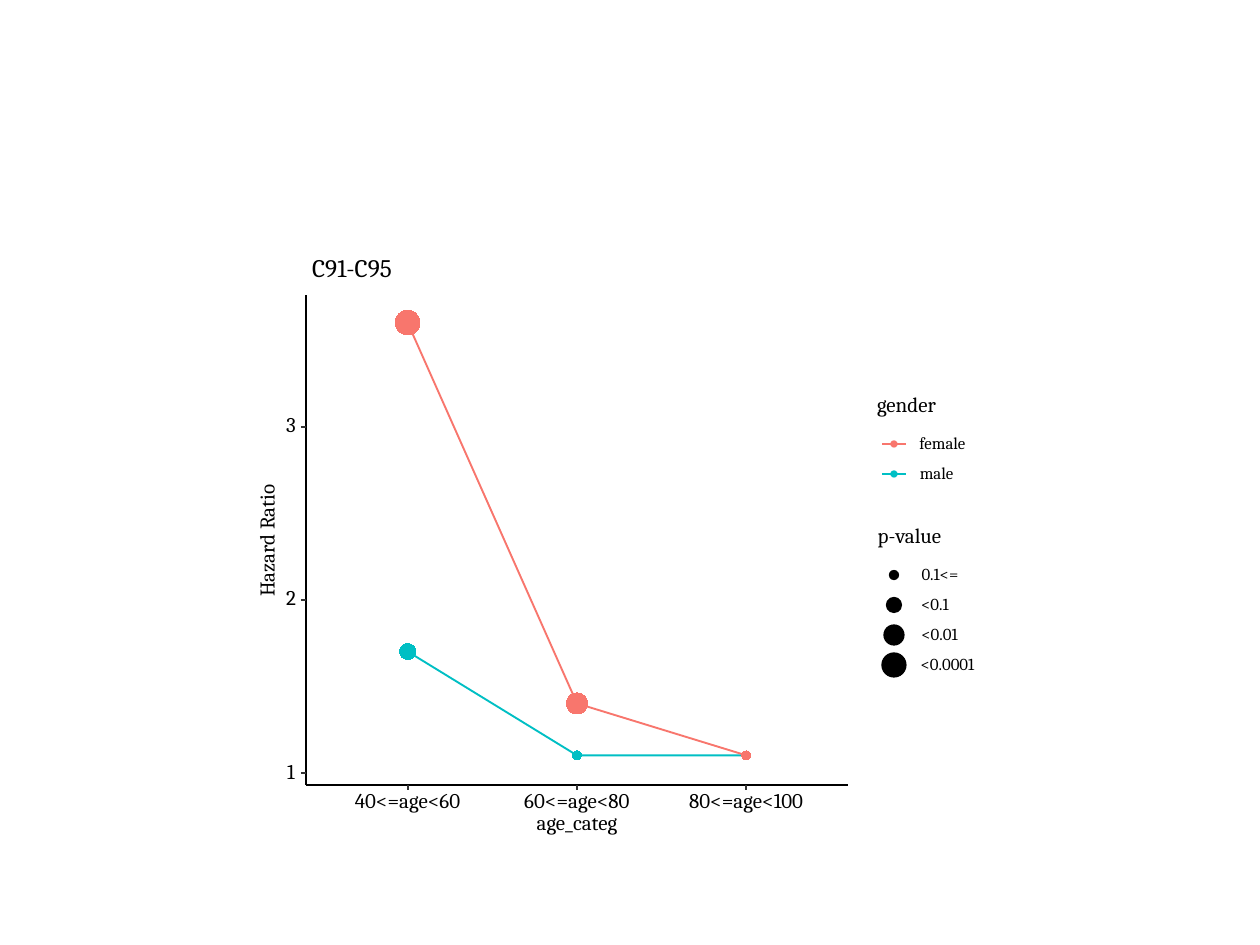
from lxml import etree
from pptx import Presentation
from pptx.chart.data import CategoryChartData
from pptx.dml.color import RGBColor
from pptx.enum.chart import XL_CHART_TYPE, XL_MARKER_STYLE, XL_TICK_MARK
from pptx.enum.shapes import MSO_CONNECTOR, MSO_SHAPE
from pptx.enum.text import MSO_ANCHOR, PP_ALIGN
from pptx.oxml.ns import qn
from pptx.util import Emu, Pt

LINE_CHART = XL_CHART_TYPE.LINE_MARKERS
CIRCLE = XL_MARKER_STYLE.CIRCLE
NO_TICK = XL_TICK_MARK.NONE
STRAIGHT = MSO_CONNECTOR.STRAIGHT
OVAL = MSO_SHAPE.OVAL
RECTANGLE = MSO_SHAPE.RECTANGLE
MIDDLE = MSO_ANCHOR.MIDDLE
CENTER = PP_ALIGN.CENTER

SCALE = 914400 / 126
FONT = "Cambria"
TEXT_PADDING = 4
COLORS = {
    "female": "F8766D",
    "male": "00BFC4",
    "ink": "000000",
    "tick": "333333",
    "paper": "FFFFFF",
}
AGE_GROUPS = ["40<=age<60", "60<=age<80", "80<=age<100"]
HAZARD_RATIOS = {"male": [1.7, 1.1, 1.1], "female": [3.6, 1.4, 1.1]}
MARKER_SIZES = {"male": [9, 5, 5], "female": [14, 12, 5]}
RATIO_MINIMUM, RATIO_MAXIMUM = 0.93, 3.76


def px(length):
    return Emu(round(length * SCALE))


def color(name):
    return RGBColor.from_string(COLORS[name])


def add_text(slide, box, text, size=12, rotation=0):
    left, top, width, height = box
    padded = (left - TEXT_PADDING, top, width + 2 * TEXT_PADDING, height)
    shape = slide.shapes.add_textbox(*map(px, padded))
    shape.rotation = rotation
    frame = shape.text_frame
    frame.word_wrap = True
    frame.vertical_anchor = MIDDLE
    frame.margin_left = frame.margin_right = 0
    frame.margin_top = frame.margin_bottom = 0
    paragraph = frame.paragraphs[0]
    paragraph.alignment = CENTER
    paragraph.line_spacing = Pt(size)
    run = paragraph.add_run()
    run.text = text
    run.font.name = FONT
    run.font.size = Pt(size)
    run.font.color.rgb = color("ink")


def add_line(slide, start, end, color_name, width=1.07):
    connector = slide.shapes.add_connector(STRAIGHT, *map(px, start + end))
    connector.line.color.rgb = color(color_name)
    connector.line.width = Pt(width)
    etree.SubElement(connector.element.spPr, qn("a:effectLst"))


def add_dot(slide, center_x, center_y, diameter, color_name):
    left, top = center_x - diameter / 2, center_y - diameter / 2
    dot = slide.shapes.add_shape(OVAL, *map(px, (left, top, diameter, diameter)))
    dot.shadow.inherit = False
    dot.fill.solid()
    dot.fill.fore_color.rgb = color(color_name)
    dot.line.color.rgb = color(color_name)
    dot.line.width = Pt(0.71)


def set_plot_layout(chart, fractions):
    plot_area = chart.element.find(".//" + qn("c:plotArea"))
    for old_layout in plot_area.findall(qn("c:layout")):
        plot_area.remove(old_layout)
    layout = etree.Element(qn("c:layout"))
    plot_area.insert(0, layout)
    manual = etree.SubElement(layout, qn("c:manualLayout"))
    settings = [("layoutTarget", "inner"), ("xMode", "edge"), ("yMode", "edge")]
    settings += zip("xywh", fractions)
    for tag, value in settings:
        etree.SubElement(manual, qn("c:" + tag)).set("val", str(value))


def style_series(series):
    color_name = series.name
    series.smooth = False
    series.marker.style = CIRCLE
    series.format.line.color.rgb = color(color_name)
    series.format.line.width = Pt(1.07)
    for index, size in enumerate(MARKER_SIZES[color_name]):
        point = series.points[index]
        point.format.line.color.rgb = color(color_name)
        point.format.line.width = Pt(1.07)
        point.marker.style = CIRCLE
        point.marker.size = size
        point.marker.format.fill.solid()
        point.marker.format.fill.fore_color.rgb = color(color_name)
        point.marker.format.line.fill.background()


def add_ratio_chart(slide, box, plot):
    left, top, width, height = box
    data = CategoryChartData()
    data.categories = AGE_GROUPS
    for name, values in HAZARD_RATIOS.items():
        data.add_series(name, values)
    chart = slide.shapes.add_chart(LINE_CHART, *map(px, box), data).chart
    chart.has_legend = False
    chart.has_title = False
    chart.font.name = FONT
    chart.font.size = Pt(12)
    chart.font.color.rgb = color("ink")
    plot_left, plot_top, plot_width, plot_height = plot
    set_plot_layout(chart, [
        round(plot_left / width, 4), round(plot_top / height, 4),
        round(plot_width / width, 4), round(plot_height / height, 4),
    ])
    ratio_axis = chart.value_axis
    ratio_axis.minimum_scale = RATIO_MINIMUM
    ratio_axis.maximum_scale = RATIO_MAXIMUM
    ratio_axis.major_unit = 1
    ratio_axis.has_major_gridlines = False
    ratio_axis.visible = False
    age_axis = chart.category_axis
    age_axis.major_tick_mark = NO_TICK
    age_axis.format.line.fill.background()
    chart.plots[0].vary_by_categories = False
    for series in chart.plots[0].series:
        style_series(series)
    add_axes(slide, (left + plot_left, top + plot_top, plot_width, plot_height))


def add_axes(slide, plot):
    left, top, width, height = plot
    margin, tick = 17, 5
    spine, bottom = left - margin, top + height
    add_line(slide, (spine, bottom), (spine, top), "ink")
    add_line(slide, (spine, bottom), (left + width + margin, bottom), "ink")
    for ratio in (1, 2, 3):
        share = (ratio - RATIO_MINIMUM) / (RATIO_MAXIMUM - RATIO_MINIMUM)
        y = bottom - share * height
        add_line(slide, (spine - tick, y), (spine, y), "tick", 1.16)
        add_text(slide, (spine - 20, y - 7, 10, 14), str(ratio))
    for index in range(len(AGE_GROUPS)):
        x = left + width * (index + 0.5) / len(AGE_GROUPS)
        add_line(slide, (x, bottom + tick), (x, bottom), "tick", 1.16)
    add_text(slide, (spine, top - 34, 92, 18), "C91-C95", 14.4)
    add_text(slide, (left + width / 2 - 42, bottom + 30, 84, 18), "age_categ")
    add_text(slide, (spine - 93, top + 238, 111, 15), "Hazard Ratio", rotation=270)


def add_legend(slide, box, title, title_width, entries, has_lines=False):
    left, top, width, height = box
    panel = slide.shapes.add_shape(RECTANGLE, *map(px, box))
    panel.shadow.inherit = False
    panel.fill.solid()
    panel.fill.fore_color.rgb = color("paper")
    panel.line.fill.background()
    add_text(slide, (left + 10, top + 8, title_width, 19), title)
    key_x = left + 26
    for index, (label, label_width, diameter, color_name) in enumerate(entries):
        y = top + 55 + 30 * index
        if has_lines:
            add_line(slide, (key_x - 12, y), (key_x + 12, y), color_name)
        add_dot(slide, key_x, y, diameter, color_name)
        add_text(slide, (left + 52, y - 5, label_width, 11), label, 9.6)


def main():
    presentation = Presentation()
    presentation.slide_width = px(1260)
    presentation.slide_height = px(945)
    slide = presentation.slides.add_slide(presentation.slide_layouts[6])
    add_ratio_chart(slide, (252, 252, 745, 595), (71, 43, 508, 490))
    add_legend(slide, (868, 389, 107, 111), "gender", 57, [
        ("female", 45, 6, "female"),
        ("male", 33, 6, "male"),
    ], has_lines=True)
    add_legend(slide, (868, 520, 117, 171), "p-value", 63, [
        ("0.1<=", 40, 9, "ink"),
        ("<0.1", 30, 15, "ink"),
        ("<0.01", 39, 20, "ink"),
        ("<0.0001", 55, 24, "ink"),
    ])
    presentation.save("out.pptx")


if __name__ == "__main__":
    main()
